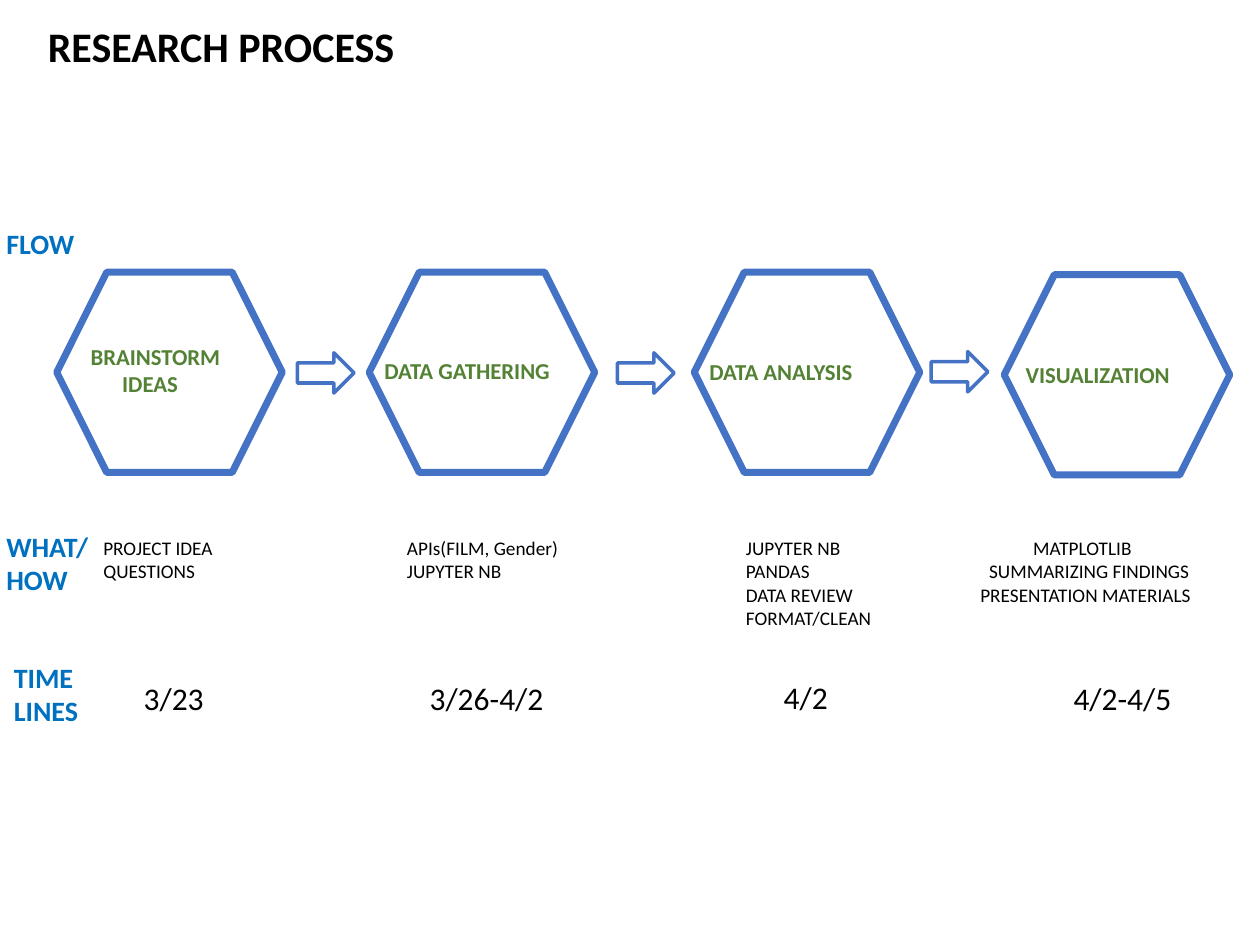
from dataclasses import dataclass

from pptx import Presentation
from pptx.dml.color import RGBColor
from pptx.enum.shapes import MSO_SHAPE
from pptx.enum.text import MSO_ANCHOR
from pptx.util import Pt

HEXAGON = MSO_SHAPE.HEXAGON
RIGHT_ARROW = MSO_SHAPE.RIGHT_ARROW
TOP, MIDDLE = MSO_ANCHOR.TOP, MSO_ANCHOR.MIDDLE
EMU_PER_PX = 9144


@dataclass(frozen=True)
class Style:
    size: int
    color: RGBColor
    bold: bool = False


class Theme:
    font = "Calibri"
    blue = RGBColor(0x44, 0x72, 0xC4)
    white = RGBColor(0xFF, 0xFF, 0xFF)
    black = RGBColor(0, 0, 0)
    sky = RGBColor(0x00, 0x70, 0xC0)
    title = Style(24, black, True)
    heading = Style(16, sky, True)
    step = Style(13, RGBColor(0x54, 0x82, 0x35), True)
    detail = Style(11, black)
    date = Style(18, black)


@dataclass(frozen=True)
class Stage:
    left: int
    top: int
    name: tuple
    name_box: tuple
    details: tuple
    detail_box: tuple
    date: tuple
    date_box: tuple
    arrow_at: tuple = ()


STAGES = [
    Stage(45, 216, ("BRAINSTORM", ("IDEAS", 25)), (22, 51, 139, 54),
          ("PROJECT IDEA", "QUESTIONS"), (32, 205, 123, 47),
          ("3/23",), (64, 318, 71, 40), (191, 64)),
    Stage(293, 216, ("DATA GATHERING",), (7, 62, 175, 32),
          ("APIs(FILM, Gender)", "JUPYTER NB"), (25, 205, 159, 47),
          ("3/26-4/2",), (43, 318, 105, 40), (197, 64)),
    Stage(551, 216, ("DATA ANALYSIS",), (7, 63, 158, 32),
          ("JUPYTER NB", "PANDAS", "DATA REVIEW", "FORMAT/CLEAN"), (36, 205, 131, 84),
          ("4/2",), (66, 317, 71, 40), (188, 63)),
    Stage(797, 218, ("VISUALIZATION",), (12, 63, 150, 32),
          (("MATPLOTLIB", 42), ("SUMMARIZING FINDINGS", 7), "PRESENTATION MATERIALS"),
          (-24, 203, 221, 66),
          ("4/2-4/5",), (50, 316, 92, 40)),
]


def px(value):
    return value * EMU_PER_PX


def add_text(slide, box, lines, style, anchor=TOP):
    frame = slide.shapes.add_textbox(*map(px, box)).text_frame
    frame.word_wrap = True
    frame.vertical_anchor = anchor
    frame.margin_left = frame.margin_right = px(5)
    frame.margin_top = frame.margin_bottom = px(5)
    for index, line in enumerate(lines):
        text, indent = (line, 0) if isinstance(line, str) else line
        paragraph = frame.add_paragraph() if index else frame.paragraphs[0]
        paragraph.text = text
        if indent:
            paragraph._p.get_or_add_pPr().set("marL", str(px(indent)))
        font = paragraph.font
        font.name = Theme.font
        font.size = Pt(style.size)
        font.bold = style.bold
        font.color.rgb = style.color


def add_outline(slide, kind, box, weight):
    outline = slide.shapes.add_shape(kind, *map(px, box))
    outline.shadow.inherit = False
    outline.fill.solid()
    outline.fill.fore_color.rgb = Theme.white
    outline.line.color.rgb = Theme.blue
    outline.line.width = Pt(weight)


def add_stage(slide, stage):
    def inside(box):
        left, top, width, height = box
        return stage.left + left, stage.top + top, width, height

    add_outline(slide, HEXAGON, inside((0, 0, 179, 159)), 4)
    add_text(slide, inside(stage.name_box), stage.name, Theme.step)
    add_text(slide, inside(stage.detail_box), stage.details, Theme.detail)
    add_text(slide, inside(stage.date_box), stage.date, Theme.date)
    if stage.arrow_at:
        add_outline(slide, RIGHT_ARROW, inside((*stage.arrow_at, 45, 32)), 2)


def add_row_headings(slide, left, top):
    add_text(slide, (left, top, 77, 37), ["FLOW"], Theme.heading)
    add_text(slide, (left, top + 240, 77, 64), ["WHAT/HOW"], Theme.heading)
    add_text(slide, (left + 6, top + 344, 92, 64), ["TIME", "LINES"], Theme.heading)


def main():
    deck = Presentation()
    deck.slide_width, deck.slide_height = px(1000), px(750)
    slide = deck.slides.add_slide(deck.slide_layouts[6])
    add_text(slide, (33, 11, 598, 50), ["RESEARCH PROCESS"], Theme.title, MIDDLE)
    for stage in STAGES:
        add_stage(slide, stage)
    add_row_headings(slide, 0, 175)
    deck.save("out.pptx")


if __name__ == "__main__":
    main()
